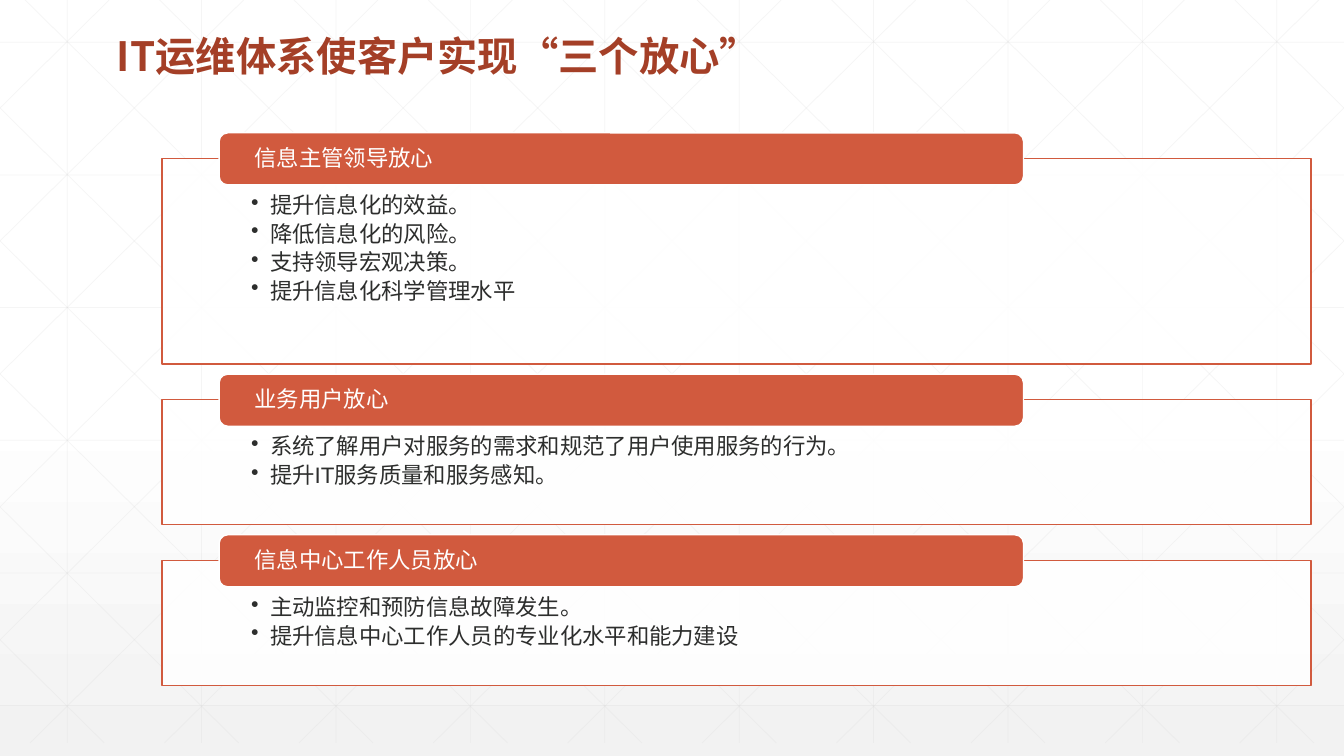
from lxml import etree
from pptx import Presentation
from pptx import util as u
from pptx.dml.color import RGBColor
from pptx.enum import shapes, text
from pptx.oxml.ns import qn

WIDTH, HEIGHT = 960, 540
GRID_HEIGHT, GRID_STEP, SLOPE = 530.6, 96, 1.011
RUST, INK, WHITE = "D15A3E", "2D2E2D", "FFFFFF"


def paint(fill, colour, owner=None, alpha=100):
    fill.solid()
    fill.fore_color.rgb = RGBColor.from_string(colour)
    if owner is not None:
        clr = owner.element.spPr.find(".//" + qn("a:srgbClr"))
        etree.SubElement(clr, qn("a:alpha")).set("val", str(alpha * 1000))


def write(p, words, size, font, colour, bold=False):
    p.alignment = text.PP_ALIGN.LEFT
    p.line_spacing = 0.9
    r = p.add_run()
    r.text = words
    r.font.size = u.Pt(size)
    r.font.name = font
    r.font.bold = bold
    paint(r.font.fill, colour)
    rPr = r.font._element
    rPr.set("lang", "zh-CN")
    latin = rPr.find(qn("a:latin"))
    ea = etree.Element(qn("a:ea"), typeface=font)
    latin.addnext(ea)


prs = Presentation()
prs.slide_width, prs.slide_height = u.Pt(WIDTH), u.Pt(HEIGHT)
s = prs.slides.add_slide(prs.slide_layouts[5])

bg = s.background.fill
bg.gradient()
bg.gradient_angle = 270
for stop, position, colour in zip(bg.gradient_stops, (0.53, 1), (WHITE, "F2F2F2")):
    stop.position = position
    stop.color.rgb = RGBColor.from_string(colour)

grid = [(48 + GRID_STEP * i, 0, 48 + GRID_STEP * i, GRID_HEIGHT) for i in range(10)]
grid += [(0, 30.2 + 94.76 * i, WIDTH, 30.2 + 94.76 * i) for i in range(6)]
for i in range(-5, 10):
    start = 18 + GRID_STEP * i
    y1 = max(0, -start / SLOPE)
    y2 = min(GRID_HEIGHT, (WIDTH - start) / SLOPE)
    x1, x2 = start + y1 * SLOPE, start + y2 * SLOPE
    grid += [(x1, y1, x2, y2), (WIDTH - x1, y1, WIDTH - x2, y2)]

for ends in grid:
    line = s.shapes.add_connector(shapes.MSO_CONNECTOR.STRAIGHT, *map(u.Pt, ends))
    line.line.width = u.Pt(0.5)
    paint(line.line.fill, "D9D9D9", line, 25)
    etree.SubElement(line.element.spPr, qn("a:effectLst"))

title = s.shapes.title
title.left, title.top, title.width, title.height = map(u.Pt, (76.3, 22.3, 892, 38.9))
s.shapes.element.append(title.element)
tf = title.text_frame
tf.word_wrap = True
tf.auto_size = text.MSO_AUTO_SIZE.NONE
tf.vertical_anchor = text.MSO_ANCHOR.MIDDLE
write(tf.paragraphs[0], "IT运维体系使客户实现“三个放心”", 28.8, "Noto Sans CJK SC", "A43F27", True)

panels = [
    ("信息主管领导放心", 147,
     ["提升信息化的效益。", "降低信息化的风险。", "支持领导宏观决策。", "提升信息化科学管理水平"]),
    ("业务用户放心", 89.3,
     ["系统了解用户对服务的需求和规范了用户使用服务的行为。", "提升IT服务质量和服务感知。"]),
    ("信息中心工作人员放心", 89.3,
     ["主动监控和预防信息故障发生。", "提升信息中心工作人员的专业化水平和能力建设"]),
]

top = 113.2
for heading, height, points in panels:
    box = s.shapes.add_shape(shapes.MSO_SHAPE.RECTANGLE, *map(u.Pt, (115.7, top, 820.8, height)))
    paint(box.fill, WHITE, box, 90)
    bar = s.shapes.add_shape(
        shapes.MSO_SHAPE.ROUNDED_RECTANGLE, *map(u.Pt, (156.5, top - 18.3, 574.6, 37.2)))
    paint(bar.fill, RUST)

    for sp, edge, inset, above, below, anchor in (
        (box, RUST, 63.7, 25.6, 8.6, text.MSO_ANCHOR.TOP),
        (bar, WHITE, 23.5, 0, 0, text.MSO_ANCHOR.MIDDLE),
    ):
        sp.shadow.inherit = False
        paint(sp.line.fill, edge)
        sp.line.width = u.Pt(1)
        tf = sp.text_frame
        tf.word_wrap = True
        tf.vertical_anchor = anchor
        tf.margin_left = tf.margin_right = u.Pt(inset)
        tf.margin_top, tf.margin_bottom = u.Pt(above), u.Pt(below)

    write(bar.text_frame.paragraphs[0], heading, 16, "Arial", WHITE)
    tf = box.text_frame
    for i, point in enumerate(points):
        p = tf.add_paragraph() if i else tf.paragraphs[0]
        pPr = p._p.get_or_add_pPr()
        pPr.set("marL", str(u.Pt(13.5)))
        pPr.set("indent", str(-u.Pt(13.5)))
        etree.SubElement(pPr, qn("a:buChar")).set("char", "•")
        p.space_after = u.Pt(3.15)
        write(p, point, 16, "Arial", INK)
    top += height + 25.4

prs.save("out.pptx")
